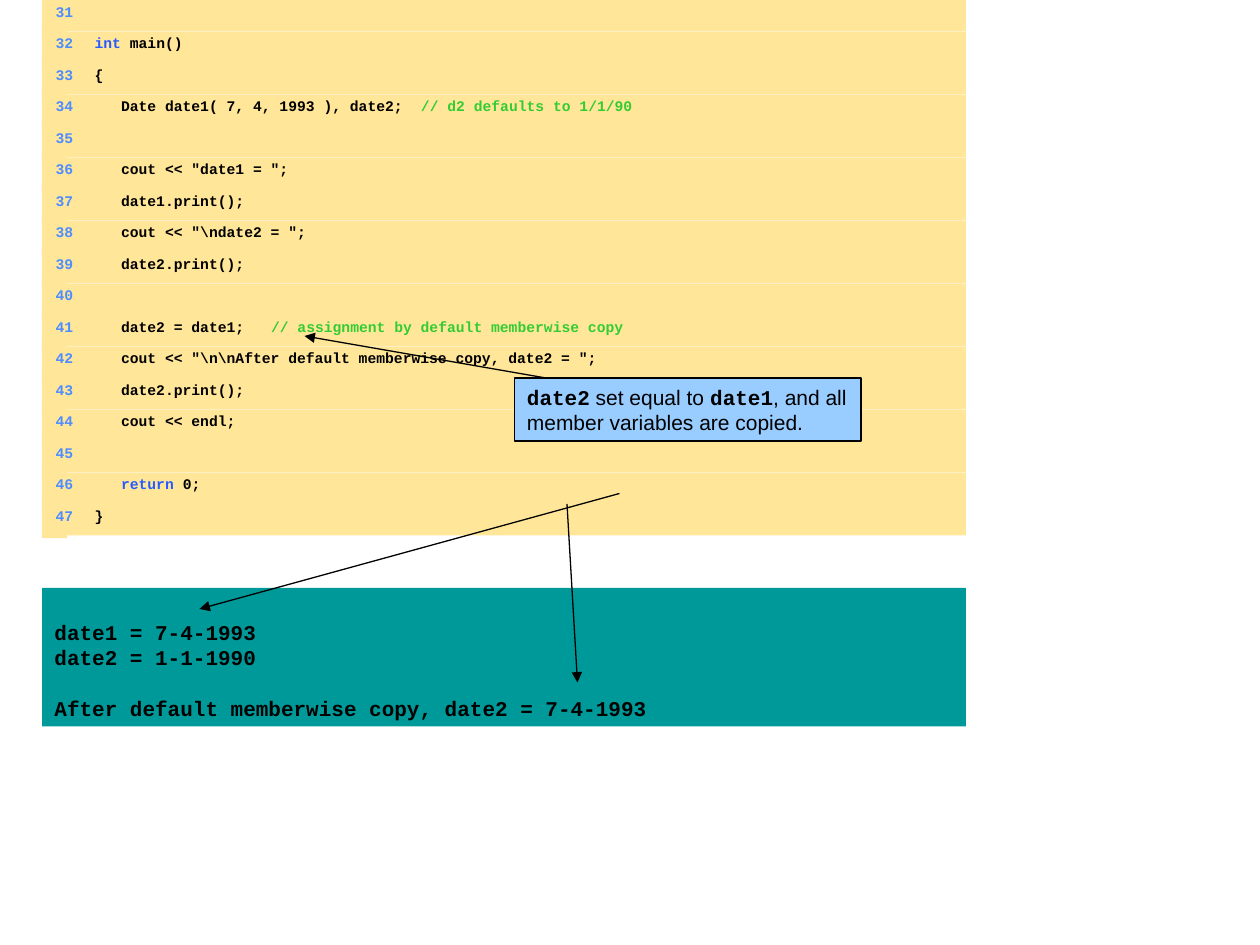
"""Build a slide with a numbered C++ listing, its console output and a callout."""
from dataclasses import dataclass

import pptx
import pptx.dml.color
import pptx.enum.shapes
import pptx.enum.text
import pptx.oxml
import pptx.oxml.ns
import pptx.util
from pptx.util import Pt


@dataclass(frozen=True)
class Theme:
    code_font: str = "Courier New"
    text_font: str = "Arial"
    code_size: float = 8.4
    body_size: float = 12
    body_spacing: float = 14.4
    line_width: float = 0.75
    listing: str = "FFE699"
    output: str = "009999"
    callout: str = "99CCFF"
    ink: str = "000000"
    number: str = "4D8DFF"
    keyword: str = "275AFF"
    comment: str = "33CC33"


THEME = Theme()
LEFT, WIDTH, ROW_HEIGHT = 24, 528, 18
GUTTER_WIDTH, GUTTER_HEIGHT, GUTTER_RISE = 14.4, 21.6, 2
FIRST_NUMBER = 31
NUMBER_TAB, CODE_TAB = 10.8, 23

CODE_LINES = [
    [],
    [("int", THEME.keyword), (" main()", THEME.ink)],
    [("{", THEME.ink)],
    [("   Date date1( 7, 4, 1993 ), date2; ", THEME.ink),
     (" // d2 defaults to 1/1/90", THEME.comment)],
    [],
    [('   cout << "date1 = ";', THEME.ink)],
    [("   date1.print();", THEME.ink)],
    [('   cout << "\\ndate2 = ";', THEME.ink)],
    [("   date2.print();", THEME.ink)],
    [],
    [("   date2 = date1;  ", THEME.ink),
     (" // assignment by default memberwise copy", THEME.comment)],
    [('   cout << "\\n\\nAfter default memberwise copy, date2 = ";', THEME.ink)],
    [("   date2.print();", THEME.ink)],
    [("   cout << endl;", THEME.ink)],
    [],
    [("   return", THEME.keyword), (" 0;", THEME.ink)],
    [("}", THEME.ink)],
]
OUTPUT_LINES = [
    "date1 = 7-4-1993",
    "date2 = 1-1-1990",
    "After default memberwise copy, date2 = 7-4-1993",
]
CALLOUT_RUNS = [
    ("date2", True),
    (" set equal to ", False),
    ("date1", True),
    (", and all member variables are copied.", False),
]
ARROWS = [
    (312, 216, 174, 192),
    (324, 288, 330, 390),
    (354, 282, 114, 348),
]


def rgb(value):
    return pptx.dml.color.RGBColor.from_string(value)


def add_box(shapes, left, top, width, height, fill, line=None):
    shape = shapes.add_shape(
        pptx.enum.shapes.MSO_SHAPE.RECTANGLE, Pt(left), Pt(top), Pt(width), Pt(height)
    )
    shape.shadow.inherit = False
    shape.fill.solid()
    shape.fill.fore_color.rgb = rgb(fill)
    if line:
        shape.line.color.rgb = rgb(line)
        shape.line.width = Pt(THEME.line_width)
    else:
        shape.line.fill.background()
    shape.text_frame.word_wrap = True
    shape.text_frame.vertical_anchor = pptx.enum.text.MSO_ANCHOR.TOP
    return shape


def add_run(paragraph, text, size, color=THEME.ink, code=True):
    run = paragraph.add_run()
    run.text = text
    run.font.name = THEME.code_font if code else THEME.text_font
    run.font.size = Pt(size)
    run.font.bold = code
    run.font.color.rgb = rgb(color)


def format_paragraph(paragraph, spacing):
    paragraph.alignment = pptx.enum.text.PP_ALIGN.LEFT
    paragraph.line_spacing = spacing


def add_tabs(paragraph):
    properties = paragraph._p.get_or_add_pPr()
    tabs = pptx.oxml.parse_xml(f"<a:tabLst {pptx.oxml.ns.nsdecls('a')}/>")
    for position, alignment in ((NUMBER_TAB, "r"), (CODE_TAB, "l")):
        tab = tabs.makeelement(pptx.oxml.ns.qn("a:tab"))
        tab.set("pos", str(int(Pt(position))))
        tab.set("algn", alignment)
        tabs.append(tab)
    properties.append(tabs)


def add_listing(slide):
    shapes = slide.shapes.add_group_shape().shapes
    for index, segments in enumerate(CODE_LINES):
        top = index * ROW_HEIGHT
        add_box(shapes, LEFT, top - GUTTER_RISE, GUTTER_WIDTH, GUTTER_HEIGHT, THEME.listing)
        row = add_box(shapes, LEFT, top, WIDTH, ROW_HEIGHT, THEME.listing)
        paragraph = row.text_frame.paragraphs[0]
        add_tabs(paragraph)
        format_paragraph(paragraph, 0.8)
        add_run(paragraph, f"\t{FIRST_NUMBER + index}\t", THEME.code_size, THEME.number)
        for text, color in segments:
            add_run(paragraph, text, THEME.code_size, color)


def add_output(slide):
    panel = add_box(slide.shapes, LEFT, 336, WIDTH, 79.2, THEME.output)
    text_frame = panel.text_frame
    text_frame.vertical_anchor = pptx.enum.text.MSO_ANCHOR.BOTTOM
    text_frame.text = "\n".join(OUTPUT_LINES)
    for paragraph in text_frame.paragraphs:
        format_paragraph(paragraph, Pt(THEME.body_spacing))
        font = paragraph.runs[0].font
        font.name = THEME.code_font
        font.size = Pt(THEME.body_size)
        font.bold = True
        font.color.rgb = rgb(THEME.ink)
    text_frame.paragraphs[-1].space_before = Pt(THEME.body_spacing)


def add_arrow(shapes, start_x, start_y, end_x, end_y):
    arrow = shapes.add_connector(
        pptx.enum.shapes.MSO_CONNECTOR.STRAIGHT,
        Pt(start_x), Pt(start_y), Pt(end_x), Pt(end_y),
    )
    arrow.line.color.rgb = rgb(THEME.ink)
    arrow.line.width = Pt(THEME.line_width)
    namespace = pptx.oxml.ns.nsdecls("a")
    arrow.line._get_or_add_ln().append(
        pptx.oxml.parse_xml(f'<a:tailEnd {namespace} type="triangle"/>')
    )
    arrow._element.spPr.append(pptx.oxml.parse_xml(f"<a:effectLst {namespace}/>"))


def add_annotation(slide):
    shapes = slide.shapes.add_group_shape().shapes
    for arrow in ARROWS:
        add_arrow(shapes, *arrow)
    callout = add_box(shapes, 294, 216, 198, 36, THEME.callout, THEME.ink)
    paragraph = callout.text_frame.paragraphs[0]
    format_paragraph(paragraph, Pt(THEME.body_spacing))
    for text, code in CALLOUT_RUNS:
        add_run(paragraph, text, THEME.body_size, code=code)


def main():
    presentation = pptx.Presentation()
    presentation.slide_width = Pt(720)
    presentation.slide_height = Pt(540)
    slide = presentation.slides.add_slide(presentation.slide_layouts[6])
    add_listing(slide)
    add_output(slide)
    add_annotation(slide)
    presentation.save("out.pptx")


if __name__ == "__main__":
    main()
